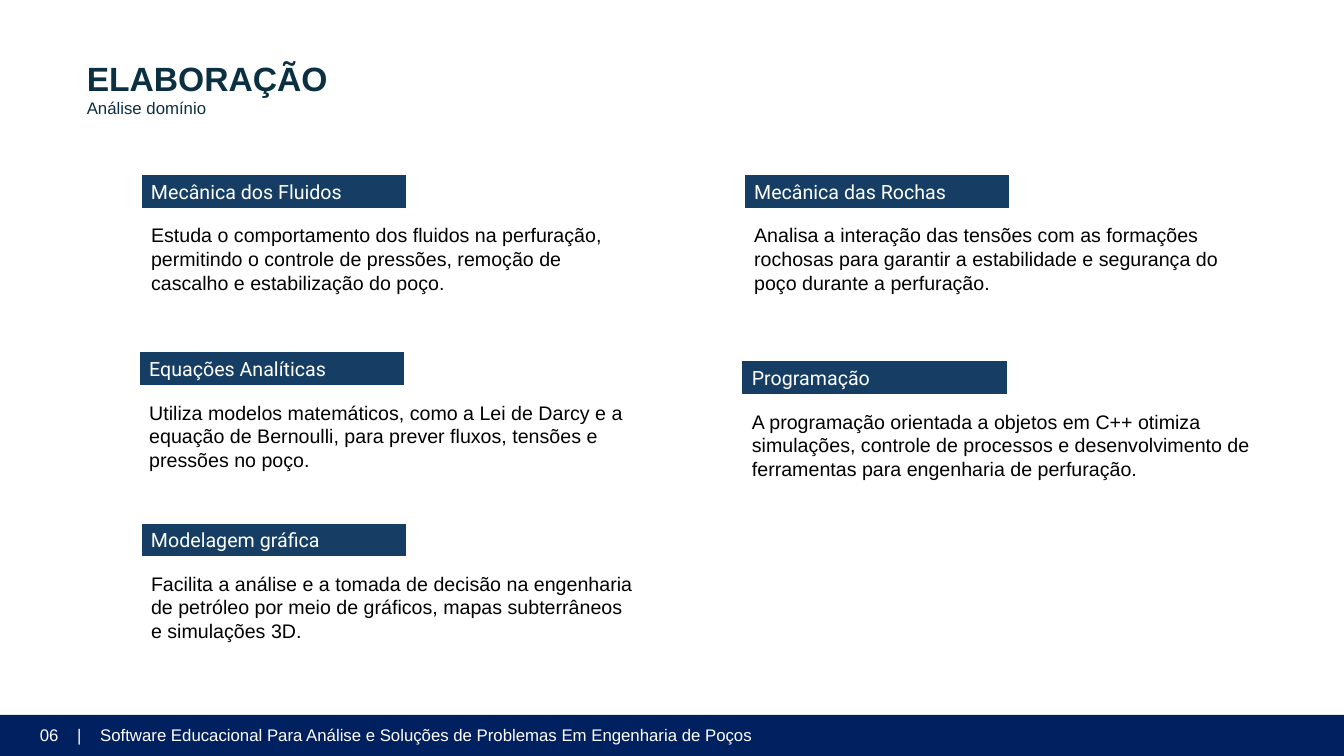
"""Builds the domain analysis slide: five topics above a footer band."""
from lxml import etree
from pptx import Presentation
from pptx.dml.color import RGBColor
from pptx.enum.shapes import MSO_SHAPE
from pptx.enum.text import MSO_ANCHOR, MSO_AUTO_SIZE, PP_ALIGN
from pptx.oxml.ns import qn
from pptx.util import Pt

RECT = MSO_SHAPE.RECTANGLE
TOP = MSO_ANCHOR.TOP
GROW = MSO_AUTO_SIZE.SHAPE_TO_FIT_TEXT
LEFT = PP_ALIGN.LEFT

WHITE = RGBColor(0xFF, 0xFF, 0xFF)
BLACK = RGBColor(0, 0, 0)
NAVY = RGBColor(0x00, 0x20, 0x60)
BLUE = RGBColor(0x16, 0x3E, 0x64)
TEAL = RGBColor(0x0B, 0x30, 0x41)

WIDE, HIGH = 960, 540
BAND = 29.3
TAG_W, TAG_H = 189.4, 24.2
BODY_H, DROP = 58.2, 31.3
TITLE = [("ELABORAÇÃO", "Arial", 24, TEAL, True),
         ("Análise domínio", "Arial", 12, TEAL, False)]
FOOTER = "06\t|\tSoftware Educacional Para Análise e Soluções de Problemas Em Engenharia de Poços"
TABS = (26.7, 43.1)

TOPICS = [
    (100.8, 124.7, 361.4, "Mecânica dos Fluidos",
     "Estuda o comportamento dos fluidos na perfuração, permitindo o controle de "
     "pressões, remoção de cascalho e estabilização do poço."),
    (99.5, 251.2, 361.4, "Equações Analíticas",
     "Utiliza modelos matemáticos, como a Lei de Darcy e a equação de Bernoulli, "
     "para prever fluxos, tensões e pressões no poço."),
    (100.8, 373.6, 361.4, "Modelagem gráfica",
     "Facilita a análise e a tomada de decisão na engenharia de petróleo por meio de "
     "gráficos, mapas subterrâneos e simulações 3D."),
    (531.6, 124.7, 361.4, "Mecânica das Rochas",
     "Analisa a interação das tensões com as formações rochosas para garantir a "
     "estabilidade e segurança do poço durante a perfuração."),
    (530, 257.8, 375.8, "Programação",
     "A programação orientada a objetos em C++ otimiza simulações, controle de "
     "processos e desenvolvimento de ferramentas para engenharia de perfuração."),
]


def write(shape, lines, wrap=True):
    """Fill a shape with styled lines of text."""
    frame = shape.text_frame
    frame.word_wrap = wrap
    frame.auto_size = GROW
    frame.vertical_anchor = TOP
    for i, (text, face, size, color, bold) in enumerate(lines):
        para = frame.add_paragraph() if i else frame.paragraphs[0]
        para.text = text
        para.alignment = LEFT
        font = para.font
        font.name, font.size, font.bold = face, Pt(size), bold
        font.color.rgb = color
    return frame


def add_box(slide, *place):
    """Add a text box placed in points."""
    return slide.shapes.add_textbox(*map(Pt, place))


def add_rect(slide, fill, *place):
    """Add a plain filled rectangle placed in points."""
    rect = slide.shapes.add_shape(RECT, *map(Pt, place))
    rect.shadow.inherit = False
    rect.fill.solid()
    rect.fill.fore_color.rgb = fill
    rect.line.fill.background()
    return rect


def set_tabs(para, stops):
    """Give a paragraph left tab stops."""
    props = para._p.get_or_add_pPr()
    tabs = etree.Element(qn("a:tabLst"))
    for stop in stops:
        etree.SubElement(tabs, qn("a:tab"), pos=str(Pt(stop)), algn="l")
    props.insert(0, tabs)


def add_topic(slide, left, top, width, name, text):
    """Add a topic tag with its description below."""
    tag = add_rect(slide, BLUE, left, top, TAG_W, TAG_H)
    tag.line.color.rgb = WHITE
    tag.line.width = Pt(0.75)
    write(tag, [(name, "Roboto", 14, WHITE, False)])
    body = add_box(slide, left, top + DROP, width, BODY_H)
    write(body, [(text, "Arial", 14, BLACK, False)])


def main():
    """Build and save the slide."""
    deck = Presentation()
    deck.slide_width, deck.slide_height = Pt(WIDE), Pt(HIGH)
    slide = deck.slides.add_slide(deck.slide_layouts[6])
    add_rect(slide, NAVY, 0, HIGH - BAND, WIDE, BAND)
    foot = write(add_box(slide, 21.4, 514.3, 527.8, 21.8),
                 [(FOOTER, "Arial", 12, WHITE, False)], wrap=False)
    set_tabs(foot.paragraphs[0], TABS)
    write(add_box(slide, 54.9, 37.6, 188.6, 50.9), TITLE, wrap=False)
    for topic in TOPICS:
        add_topic(slide, *topic)
    deck.save("out.pptx")


if __name__ == "__main__":
    main()
